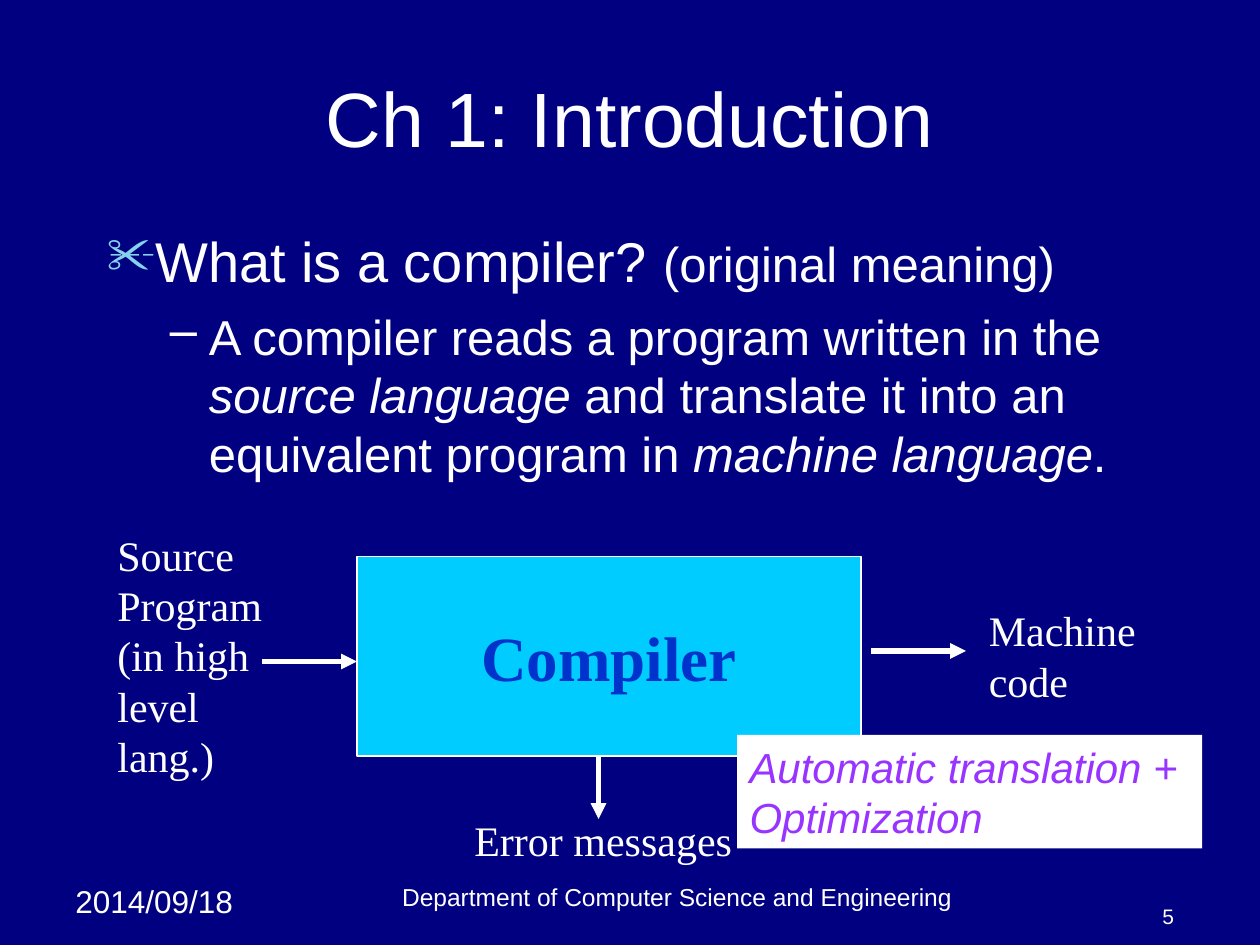
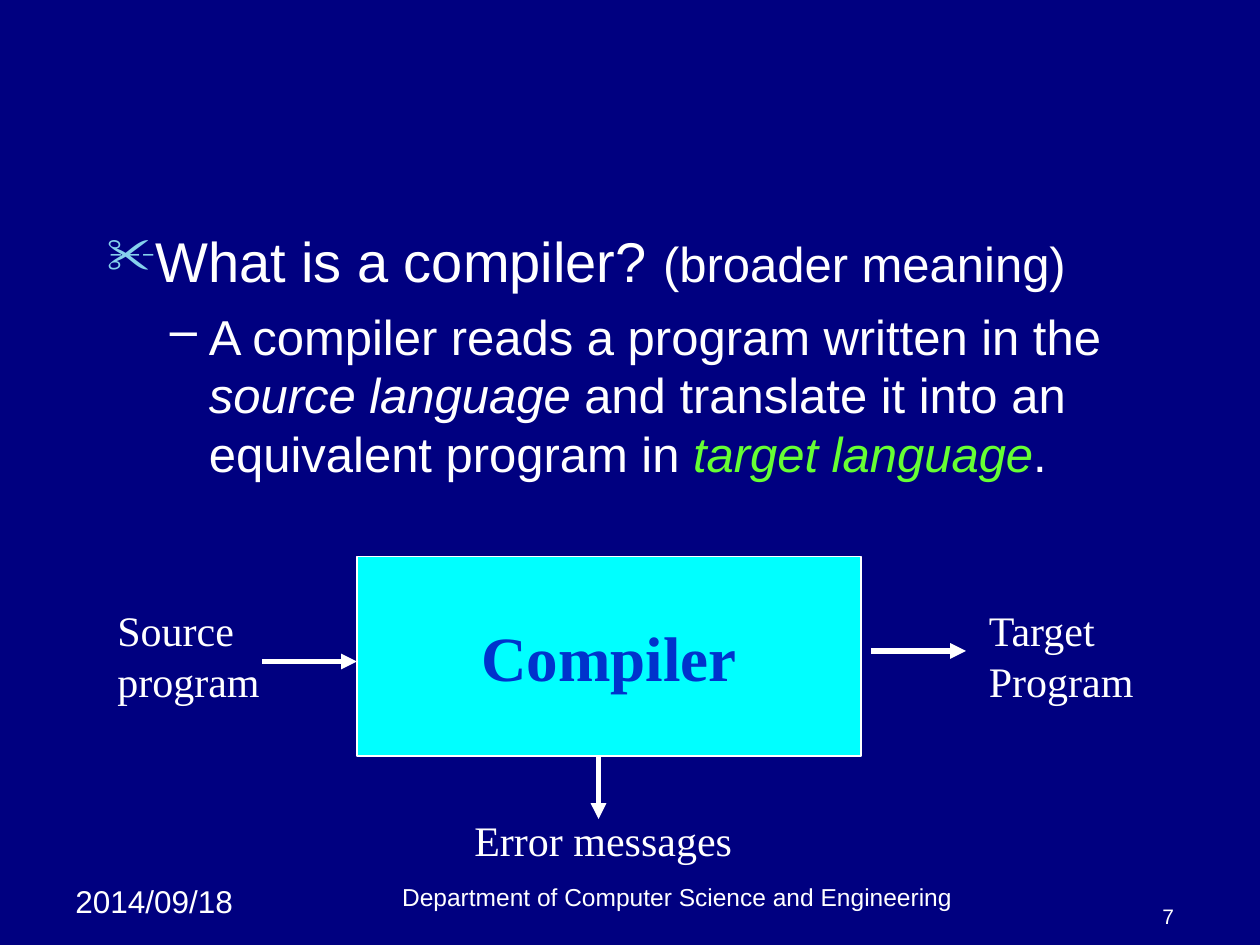
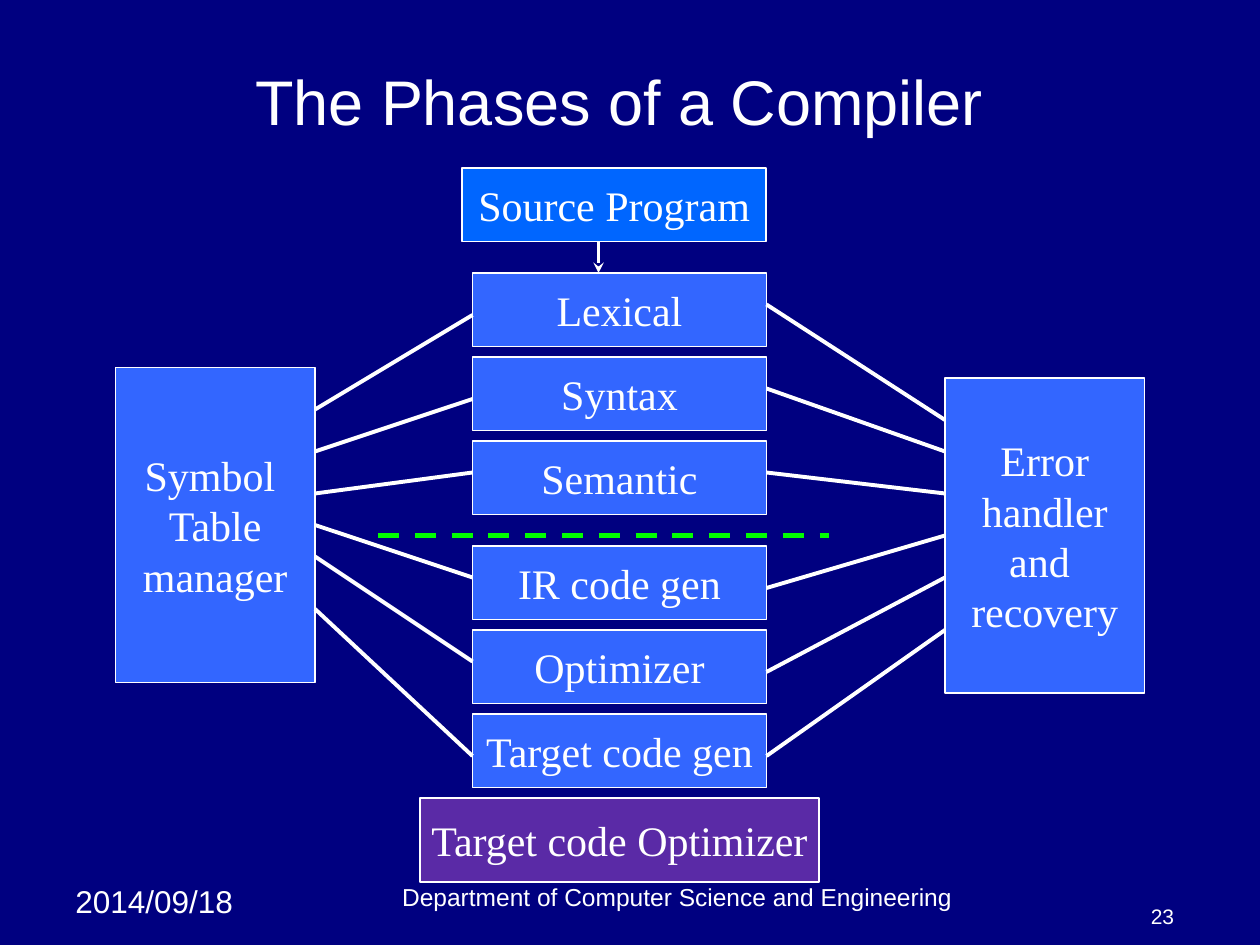
from dataclasses import dataclass

from pptx import Presentation
from pptx.dml.color import RGBColor
from pptx.enum.dml import MSO_LINE
from pptx.enum.shapes import MSO_CONNECTOR, MSO_SHAPE
from pptx.enum.text import MSO_ANCHOR, PP_ALIGN
from pptx.oxml.xmlchemy import OxmlElement
from pptx.util import Inches, Pt


@dataclass(frozen=True)
class Theme:
    navy: str = "000080"
    white: str = "FFFFFF"
    scissors: str = "86D1EC"
    royal: str = "0033CC"
    sky: str = "00CCFF"
    cyan: str = "00FFFF"
    phase: str = "3366FF"
    source: str = "0066FF"
    violet: str = "5A2AA6"
    purple: str = "9933FF"
    lime: str = "66FF33"
    divider: str = "00FF00"
    sans: str = "Arial"
    serif: str = "Times New Roman"
    title: int = 44
    heading: int = 36
    question: int = 32
    body: int = 28
    label: int = 24
    date: int = 18
    footer: int = 14
    number: int = 12


T = Theme()

# Content; a paragraph is a string or a list of (text, run format) pairs.
# All places are in units of 1/12 inch, so a slide is 120 by 90.
DATE = "2014/09/18"
DEPARTMENT = "Department of Computer Science and Engineering"

DEFINITIONS = [
    dict(number=5, title="Ch 1: Introduction", meaning="(original meaning)",
         language="machine language", language_color=T.white, box_color=T.sky,
         source=["Source", "Program", "(in high level lang.)"], source_top=49.8,
         result=["Machine code"], result_width=17,
         remark=["Automatic translation +", "Optimization"]),
    dict(number=7, title=None, meaning="(broader meaning)",
         language="target language", language_color=T.lime, box_color=T.cyan,
         source=["Source", "program"], source_top=57,
         result=["Target", "Program"], result_width=19, remark=None),
]

PHASES_TITLE = [("The Phases of a Compiler", {"size": T.heading}), (" ", {})]
# phase, then heights of its link: at manager, at phase left, phase right, at handler
PHASES = [
    ("Lexical", 39, 30, 29, 40),
    ("Syntax", 43, 38, 37, 43),
    ("Semantic", 47, 45, 45, 47),
    ("IR code gen", 50, 55, 56, 51),
    ("Optimizer", 53, 63, 64, 55),
    ("Target code gen", 58, 72, 72, 60),
]
MANAGER = ["Symbol ", "Table", "manager"]
HANDLER = ["Error", "handler", "and ", "recovery"]
FRONT_END = 3  # phases above the dashed divider


# Drawing helpers
def unit(n):
    return Inches(n / 12)


def rgb(color):
    return RGBColor.from_string(color)


def write(shape, paragraphs, size=T.label, font=T.serif, color=T.white, bold=False,
          italic=False, align=PP_ALIGN.LEFT, anchor=MSO_ANCHOR.TOP, wrap=True):
    frame = shape.text_frame
    frame.word_wrap, frame.vertical_anchor = wrap, anchor
    base = dict(size=size, color=color, bold=bold, italic=italic)
    for i, content in enumerate(paragraphs):
        paragraph = frame.add_paragraph() if i else frame.paragraphs[0]
        paragraph.alignment = align
        for text, changes in [(content, {})] if isinstance(content, str) else content:
            look = base | changes
            run = paragraph.add_run()
            run.text = text
            run.font.name, run.font.size = font, Pt(look["size"])
            run.font.bold, run.font.italic = look["bold"], look["italic"]
            run.font.color.rgb = rgb(look["color"])
    return frame


def add_text(slide, place, paragraphs, **style):
    return write(slide.shapes.add_textbox(*map(unit, place)), paragraphs, **style)


def add_box(slide, place, paragraphs, fill, border=T.white, align=PP_ALIGN.CENTER,
            anchor=MSO_ANCHOR.MIDDLE, **style):
    box = slide.shapes.add_shape(MSO_SHAPE.RECTANGLE, *map(unit, place))
    box.shadow.inherit = False
    box.fill.solid()
    box.fill.fore_color.rgb = rgb(fill)
    if border:
        box.line.color.rgb = rgb(border)
        box.line.width = Pt(1)
    else:
        box.line.fill.background()
    write(box, paragraphs, align=align, anchor=anchor, wrap=False, **style)


def add_line(slide, start, end, width=3, color=T.white, head=None, dash=None):
    line = slide.shapes.add_connector(MSO_CONNECTOR.STRAIGHT, *map(unit, start + end))
    line.line.color.rgb = rgb(color)
    line.line.width = Pt(width)
    if dash:
        line.line.dash_style = dash
    if head:
        tail = OxmlElement("a:tailEnd")
        tail.set("type", head)
        line.line._get_or_add_ln().append(tail)
    line._element.spPr.append(OxmlElement("a:effectLst"))


def add_bullet(paragraph, mark, color, size, left, hang):
    props = paragraph._p.get_or_add_pPr()
    props.set("marL", str(Inches(left)))
    props.set("indent", str(-Inches(hang)))
    tint, scale, char = map(OxmlElement, ("a:buClr", "a:buSzPct", "a:buChar"))
    shade = OxmlElement("a:srgbClr")
    shade.set("val", color)
    tint.append(shade)
    scale.set("val", str(size * 1000))
    char.set("char", mark)
    props.extend([tint, scale, char])


# Shared slide parts
def start_slide(deck, number, title, title_place, size=T.title):
    slide = deck.slides.add_slide(deck.slide_layouts[6])
    add_text(slide, (6, 83.4, 19, 4.8), [DATE], size=T.date, font=T.sans)
    add_text(slide, (24, 83.4, 81, 4), [DEPARTMENT], size=T.footer, font=T.sans,
             align=PP_ALIGN.CENTER, anchor=MSO_ANCHOR.BOTTOM)
    add_text(slide, (105, 85, 8, 4), [str(number)], size=T.number, font=T.sans,
             align=PP_ALIGN.RIGHT, anchor=MSO_ANCHOR.BOTTOM)
    if title:
        add_text(slide, title_place, [title], size=size, font=T.sans,
                 align=PP_ALIGN.CENTER, anchor=MSO_ANCHOR.MIDDLE)
    return slide


def definition_slide(deck, item):
    slide = start_slide(deck, item["number"], item["title"], (6, 3.6, 108, 15))

    # Question and answer
    italic = {"italic": True}
    question = [("What is a compiler? ", {"size": T.question}), (item["meaning"], {})]
    answer = [("A compiler reads a program written in the ", {}),
              ("source language", italic),
              (" and translate it into an equivalent program in ", {}),
              (item["language"], italic | {"color": item["language_color"]}),
              (".", {})]
    body = add_text(slide, (9, 21, 102, 65), [question, answer],
                    size=T.body, font=T.sans)
    add_bullet(body.paragraphs[0], "✂", T.scissors, 90, 0.38, 0.38)
    add_bullet(body.paragraphs[1], "–", T.white, 100, 0.81, 0.31)
    body.paragraphs[1].space_before = Pt(7)

    # Compiler with its input and outputs
    add_box(slide, (34, 53, 48, 19), ["Compiler"], item["box_color"],
            size=T.heading, color=T.royal, bold=True)
    top = item["source_top"]
    add_text(slide, (10, top, 17, 75 - top), item["source"])
    add_text(slide, (93, 57, item["result_width"], 10.8), item["result"])
    add_text(slide, (44, 77, 29, 6), ["Error messages"])
    for start, end in [((25, 63), (34, 63)), ((83, 62), (92, 62)), ((57, 72), (57, 78))]:
        add_line(slide, start, end, head="triangle")
    if item["remark"]:
        add_box(slide, (70.2, 70, 44.3, 10.8), item["remark"], T.white, border=None,
                align=PP_ALIGN.LEFT, anchor=MSO_ANCHOR.TOP, font=T.sans,
                color=T.purple, italic=True)


def phases_slide(deck):
    slide = start_slide(deck, 23, PHASES_TITLE, (9, 4, 102, 10))
    left, width, right = 45, 28, 73
    side_width, manager_left, handler_left = 19, 11, 90

    # Boxes
    add_box(slide, (44, 16, 29, 7), ["Source Program"], T.source)
    add_box(slide, (manager_left, 35, side_width, 30), MANAGER, T.phase)
    add_box(slide, (handler_left, 36, side_width, 30), HANDLER, T.phase)
    add_box(slide, (40, 76, 38, 8), ["Target code Optimizer"], T.violet)

    # Phases, each linked to both sides
    for i, (phase, manager_y, left_y, right_y, handler_y) in enumerate(PHASES):
        top = 26 + 8 * i + (2 if i >= FRONT_END else 0)
        add_box(slide, (left, top, width, 7), [phase], T.phase)
        add_line(slide, (manager_left + side_width, manager_y), (left, left_y), 2.25)
        add_line(slide, (right, right_y), (handler_left, handler_y), 2.25)

    # Divider and entry arrow
    add_line(slide, (36, 51), (79, 51), color=T.divider, dash=MSO_LINE.DASH)
    add_line(slide, (57, 23), (57, 26), 2, head="stealth")


def main():
    deck = Presentation()
    deck.slide_width, deck.slide_height = unit(120), unit(90)
    backdrop = deck.slide_master.background.fill
    backdrop.solid()
    backdrop.fore_color.rgb = rgb(T.navy)
    for item in DEFINITIONS:
        definition_slide(deck, item)
    phases_slide(deck)
    deck.save("out.pptx")


if __name__ == "__main__":
    main()
